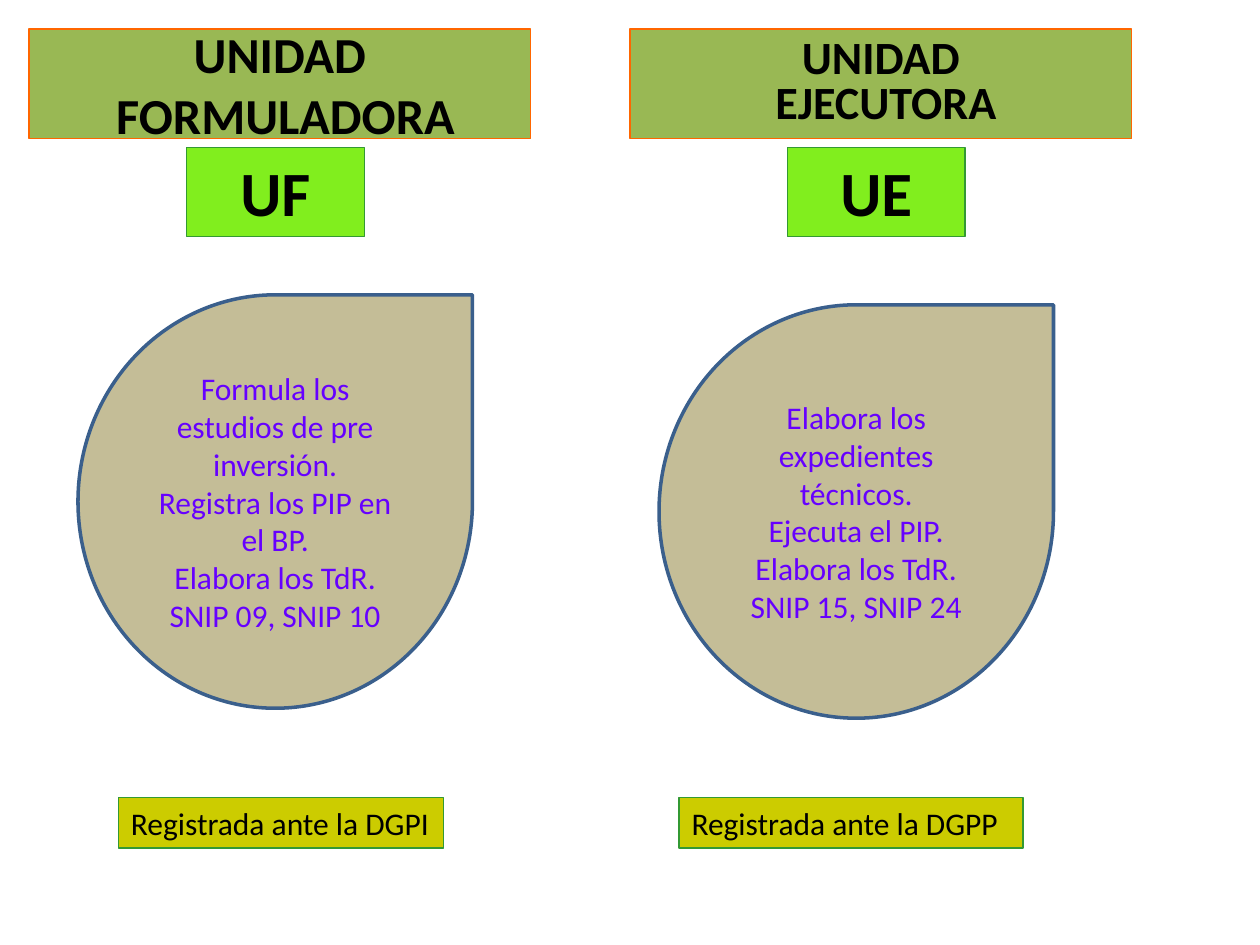
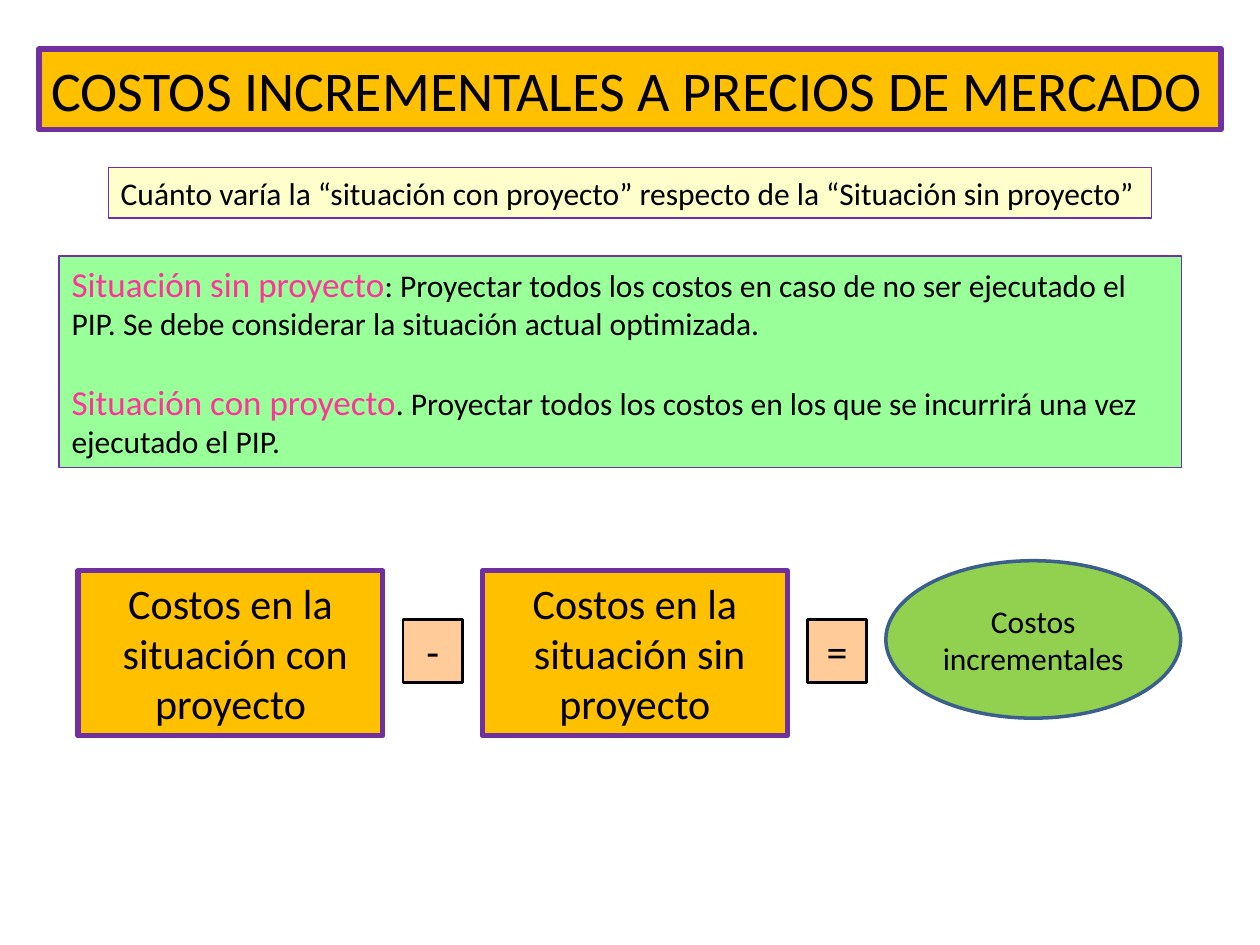
from pptx import Presentation
from pptx.dml.color import RGBColor
from pptx.enum.shapes import MSO_SHAPE
from pptx.enum.text import MSO_ANCHOR, PP_ALIGN
from pptx.util import Pt


def colour(value):
    """Turn a hex string into a colour."""
    return RGBColor.from_string(value)


def assign(target, values):
    """Set attributes of an object from a dict."""
    for name, value in values.items():
        setattr(target, name, value)


class SlideBuilder:
    """Hold the shared style and the current slide."""

    BLACK, PURPLE, BLUE, GREEN = "000000", "7030A0", "3A5F8C", "339933"
    AMBER = "FFC000"
    CENTRE = {"alignment": PP_ALIGN.CENTER}

    def __init__(self):
        """Start an empty deck of 10 by 7.5 inches."""
        self.deck = Presentation()
        assign(self.deck, {"slide_width": Pt(720), "slide_height": Pt(540)})
        self.page = None

    def new_page(self):
        """Add a blank slide and make it current."""
        self.page = self.deck.slides.add_slide(self.deck.slide_layouts[6])

    def add_text(self, para, text, size, ink, bold):
        """Add text to a paragraph, with a line break at each newline."""
        for index, part in enumerate(text.split("\n")):
            if index:
                para.add_line_break()
            span = para.add_run()
            span.text = part
            assign(span.font, {"name": "Calibri", "size": Pt(size), "bold": bold})
            span.font.color.rgb = colour(ink)

    def shape(self, place, fill, line, paragraphs, size=18, ink=BLACK, weight=0.75,
              kind=MSO_SHAPE.RECTANGLE, anchor=MSO_ANCHOR.TOP, layout=None, bold=False):
        """Draw a filled shape; a paragraph is a string or a list of (text, size, ink)."""
        box = self.page.shapes.add_shape(kind, *map(Pt, place))
        box.shadow.inherit = False
        box.fill.solid()
        box.fill.fore_color.rgb = colour(fill)
        box.line.color.rgb = colour(line)
        box.line.width = Pt(weight)
        frame = box.text_frame
        assign(frame, {"word_wrap": True, "vertical_anchor": anchor})
        for index, content in enumerate(paragraphs):
            para = frame.add_paragraph() if index else frame.paragraphs[0]
            assign(para, {"alignment": PP_ALIGN.LEFT, **(layout or {})})
            spans = [(content, size, ink)] if isinstance(content, str) else content
            for span in spans:
                self.add_text(para, *span, bold)
        return box

    def heading(self, left, text, size, spacing):
        """Draw the green heading of a unit."""
        self.shape((left, 16.6, 286.6, 62.6), "99B854", "FF6600", [text], size, bold=True,
                   anchor=MSO_ANCHOR.MIDDLE, layout={**self.CENTRE, "line_spacing": spacing})

    def acronym(self, left, text):
        """Draw the bright tag below a heading."""
        self.shape((left, 84.2, 101.5, 51.1), "81EE1E", self.GREEN, [text], 36,
                   layout=self.CENTRE, bold=True)

    def duties(self, left, top, paragraphs):
        """Draw the teardrop that lists the duties of a unit."""
        self.shape((left, top, 225.4, 236.2), "C4BD97", self.BLUE, paragraphs, ink="6600FF",
                   weight=2, kind=MSO_SHAPE.TEAR, anchor=MSO_ANCHOR.MIDDLE, layout=self.CENTRE)

    def registry(self, left, width, text):
        """Draw the label that names the registering office."""
        self.shape((left, 455.8, width, 28.8), "CCCC00", self.GREEN, [text])

    def title(self, text):
        """Draw the amber title band."""
        self.shape((22.3, 28.1, 675.4, 46.1), self.AMBER, self.PURPLE, [text], 32, weight=3)

    def cost(self, left, paragraphs):
        """Draw one amber term of the cost equation."""
        self.shape((left, 326.2, 174.2, 94.3), self.AMBER, self.PURPLE, paragraphs, 24,
                   weight=3, layout=self.CENTRE)

    def operator(self, left, sign):
        """Draw the sign that follows a term."""
        self.shape((left, 354.2, 33.8, 36), "FFCC99", self.BLACK, [sign], 24,
                   weight=1.5, layout=self.CENTRE)

    def result(self, text):
        """Draw the ellipse that closes the equation."""
        self.shape((506.2, 320.4, 168.5, 90), "92D050", self.BLUE, [text], weight=2,
                   kind=MSO_SHAPE.OVAL, anchor=MSO_ANCHOR.MIDDLE, layout=self.CENTRE)


def build_units(builder):
    """Compare the formulating and the executing unit."""
    builder.new_page()
    builder.heading(16.6, "UNIDAD\n FORMULADORA", 28.8, 1.0)
    builder.heading(360, "UNIDAD\n EJECUTORA", 26.4, 0.8)
    builder.acronym(106.6, "UF")
    builder.acronym(450, "UE")
    builder.duties(44.6, 168.5, ["Formula los estudios de pre inversión.",
                                 "Registra los PIP en el BP.",
                                 "Elabora los TdR.", "SNIP 09, SNIP 10"])
    builder.duties(376.6, 174.2, ["Elabora los expedientes técnicos.", "Ejecuta el PIP.",
                                  "Elabora los TdR.", "SNIP 15, SNIP 24"])
    builder.registry(67.7, 185.8, "Registrada ante la DGPI")
    builder.registry(388.1, 196.6, "Registrada ante la DGPP")


def build_costs(builder):
    """Explain incremental costs and their equation."""
    builder.new_page()
    builder.title("COSTOS INCREMENTALES A PRECIOS DE MERCADO")
    builder.shape((61.9, 95.8, 596.2, 28.8), "FFFFCC", builder.PURPLE,
                  ["Cuánto varía la “situación con proyecto” respecto de la “Situación sin proyecto”"])
    definitions = [
        ("Situación sin proyecto", ": Proyectar todos los costos en caso de no ser ejecutado el PIP. "
                                   "Se debe considerar la situación actual optimizada."),
        ("Situación con proyecto", ". Proyectar todos los costos en los que se incurrirá una vez "
                                   "ejecutado el PIP."),
    ]
    box = builder.shape((33.8, 146.2, 641.5, 121), "99FF99", builder.PURPLE,
                        [[(term, 20, "FF3399"), (meaning, 18, builder.BLACK)]
                         for term, meaning in definitions])
    box.text_frame.paragraphs[1].space_before = Pt(22)
    pitch = 231.1
    for index, (word, sign) in enumerate([("con", "-"), ("sin", "=")]):
        builder.cost(44.6 + index * pitch, ["Costos en la", f" situación {word} proyecto"])
        builder.operator(230.4 + index * pitch, sign)
    builder.result("Costos incrementales")


def main():
    """Build and save the deck."""
    builder = SlideBuilder()
    build_units(builder)
    build_costs(builder)
    builder.deck.save("out.pptx")


if __name__ == "__main__":
    main()
